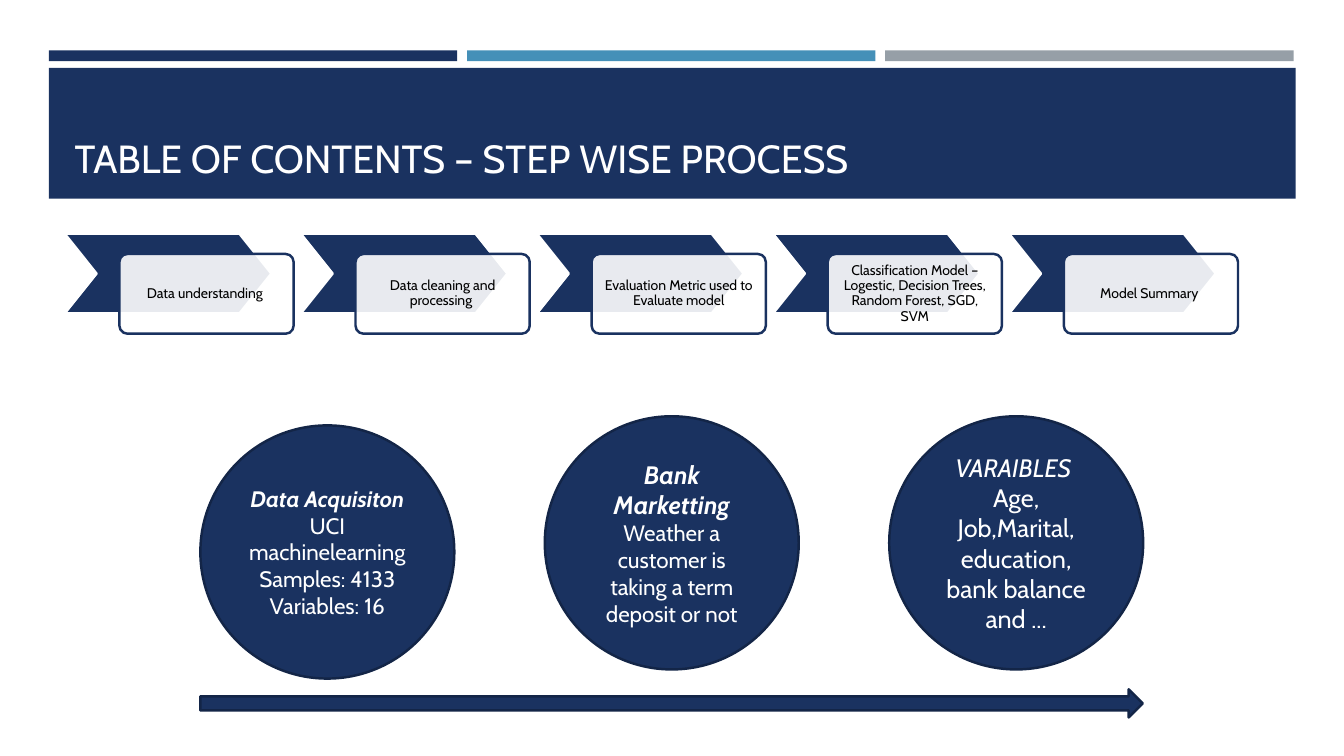
from dataclasses import dataclass

from lxml import etree
from pptx import Presentation
from pptx.dml.color import RGBColor
from pptx.enum.shapes import MSO_SHAPE
from pptx.enum.text import MSO_ANCHOR, MSO_AUTO_SIZE, PP_ALIGN
from pptx.oxml.ns import qn
from pptx.shapes.autoshape import Shape
from pptx.util import Cm, Pt

RECT = MSO_SHAPE.RECTANGLE
CHEVRON = MSO_SHAPE.CHEVRON
CARD = MSO_SHAPE.ROUNDED_RECTANGLE
OVAL = MSO_SHAPE.OVAL
ARROW = MSO_SHAPE.RIGHT_ARROW
LEFT, CENTER = PP_ALIGN.LEFT, PP_ALIGN.CENTER
MIDDLE, BOTTOM = MSO_ANCHOR.MIDDLE, MSO_ANCHOR.BOTTOM
NO_FIT = MSO_AUTO_SIZE.NONE

COLORS = {
    "navy": "1A3260",
    "edge": "132547",
    "blue": "4590B8",
    "gray": "969FA7",
    "white": "FFFFFF",
    "black": "000000",
}
FONT = "Cabin"


@dataclass
class Run:
    text: str
    size: float
    bold: bool = False
    slant: bool = False


@dataclass
class Box:
    left: float
    top: float
    width: float
    height: float


@dataclass
class Circle:
    top: float
    lines: list[list[Run]]


BARS = ["navy", "blue", "gray"]
STEPS = [
    "Data understanding ",
    "Data cleaning and processing ",
    "Evaluation Metric used to Evaluate model",
    "Classification Model – Logestic, Decision Trees, Random Forest, SGD, SVM",
    "Model Summary ",
]
CIRCLES = [
    Circle(10.72, [
        [Run("Data Acquisiton", 16, bold=True, slant=True)],
        [Run("UCI machinelearning", 16)],
        [Run("Samples: 4133", 16)],
        [Run("Variables: 16", 16)],
    ]),
    Circle(10.49, [
        [Run("Bank Marketting ", 18, bold=True, slant=True),
         Run("Weather a customer is taking a term deposit or not", 16)],
    ]),
    Circle(10.49, [
        [Run("VARAIBLES ", 18, slant=True)],
        [Run("Age, Job,Marital, education, bank balance and ...", 18)],
    ]),
]


def color(name: str) -> RGBColor:
    return RGBColor.from_string(COLORS[name])


def write(shape: Shape, lines: list[list[Run]], *, ink: str = "white",
          align: PP_ALIGN = CENTER, anchor: MSO_ANCHOR = MIDDLE,
          inset: float = 0.25, pitch: float = 1.0) -> None:
    frame = shape.text_frame
    frame.word_wrap = True
    frame.auto_size = NO_FIT
    frame.vertical_anchor = anchor
    frame.margin_left = frame.margin_right = Cm(inset)
    frame.margin_top = frame.margin_bottom = Cm(min(inset, 0.2))
    for index, line in enumerate(lines):
        para = frame.add_paragraph() if index else frame.paragraphs[0]
        para.alignment = align
        para.line_spacing = pitch
        for item in line:
            run = para.add_run()
            run.text = item.text
            font = run.font
            font.name, font.size = FONT, Pt(item.size)
            font.bold, font.italic = item.bold, item.slant
            font.color.rgb = color(ink)


def place(shape: Shape, box: Box) -> None:
    shape.left, shape.top = Cm(box.left), Cm(box.top)
    shape.width, shape.height = Cm(box.width), Cm(box.height)


def draw(slide, kind: MSO_SHAPE, box: Box, fill: str,
         edge: str | None = None, adjust: float | None = None) -> Shape:
    shape = slide.shapes.add_shape(kind, 0, 0, 0, 0)
    place(shape, box)
    shape.shadow.inherit = False
    shape.fill.solid()
    shape.fill.fore_color.rgb = color(fill)
    if edge:
        shape.line.color.rgb = color(edge)
        shape.line.width = Pt(1.75)
    else:
        shape.line.fill.background()
    if adjust is not None:
        shape.adjustments[0] = adjust
    return shape


def fade(shape: Shape, percent: int) -> None:
    tint = shape.element.spPr.find(qn("a:solidFill"))[0]
    etree.SubElement(tint, qn("a:alpha")).set("val", str(percent * 1000))


def head(slide) -> None:
    for index, fill in enumerate(BARS):
        draw(slide, RECT, Box(1.23 + 10.54 * index, 1.27, 10.29, 0.27), fill)
    draw(slide, RECT, Box(1.23, 1.71, 31.42, 3.3), "navy")
    title = slide.shapes.title
    place(title, Box(1.63, 1.96, 30.63, 2.82))
    write(title, [[Run("TABLE OF CONTENTS – STEP WISE PROCESS", 28)]],
          align=LEFT, anchor=BOTTOM)
    title.element.getparent().append(title.element)


def steps(slide) -> None:
    for index, text in enumerate(STEPS):
        left = 1.63 + 5.95 * index
        draw(slide, CHEVRON, Box(left, 5.89, 5.21, 2.01),
             "navy", "white", 0.4)
        card = draw(slide, CARD, Box(left + 1.38, 6.4, 4.39, 2.01),
                    "white", "navy", 0.1)
        fade(card, 90)
        write(card, [[Run(text, 10)]], ink="black", inset=0.2, pitch=0.9)


def circles(slide) -> None:
    for index, item in enumerate(CIRCLES):
        box = Box(5.05 + 8.68 * index, item.top, 6.4, 6.38)
        write(draw(slide, OVAL, box, "navy", "edge"), item.lines)
    draw(slide, ARROW, Box(5.05, 17.37, 23.75, 0.71), "navy", "edge")


def main() -> None:
    deck = Presentation()
    deck.slide_width, deck.slide_height = Cm(33.87), Cm(19.05)
    slide = deck.slides.add_slide(deck.slide_layouts[5])
    head(slide)
    steps(slide)
    circles(slide)
    deck.save("out.pptx")


if __name__ == "__main__":
    main()
